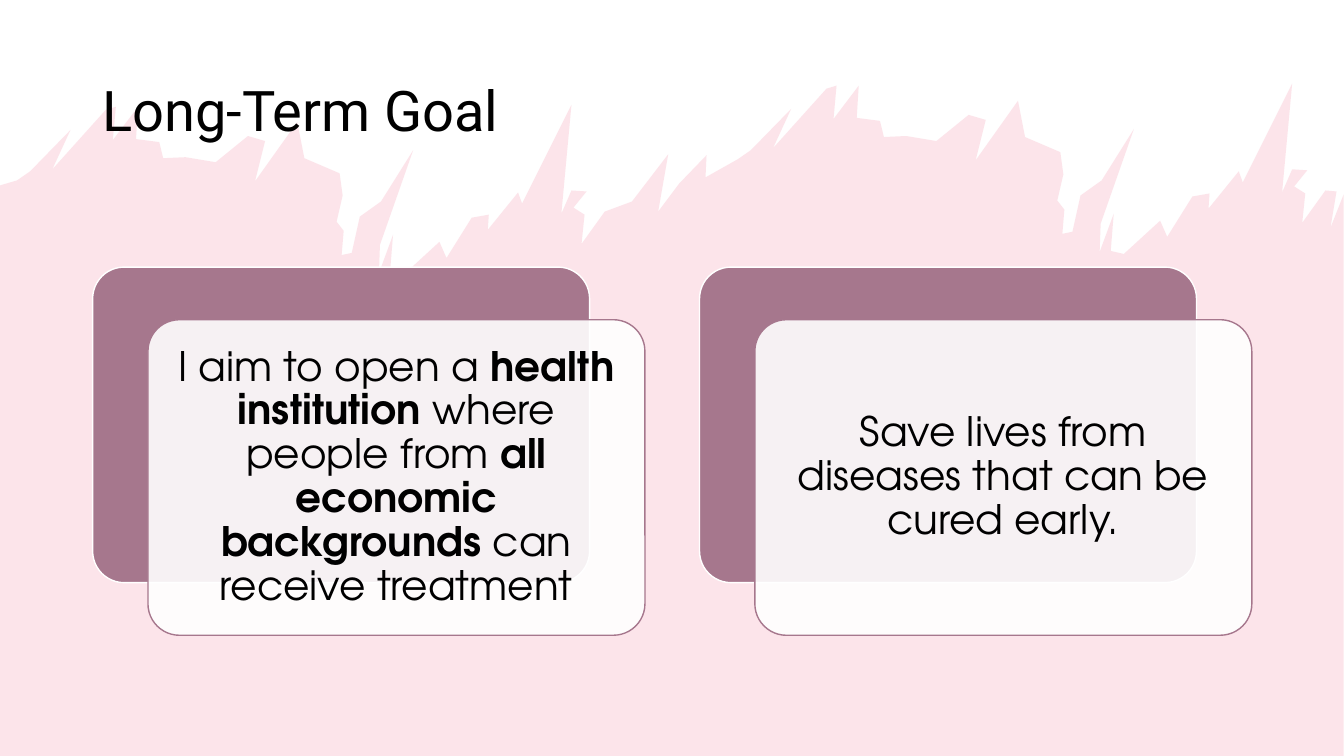
from pptx import Presentation
from pptx.dml.color import RGBColor
from pptx.enum.shapes import MSO_SHAPE as Shape
from pptx.enum.text import MSO_ANCHOR as Anchor, PP_ALIGN as Align
from pptx.oxml.ns import qn
from pptx.util import Pt
from lxml.etree import SubElement

PINK, MAUVE, WHITE, BLACK = "F07C98", "A6778D", "FFFFFF", "000000"


def color(hex_string):
    return RGBColor.from_string(hex_string)


def paint(shape, fill, opacity=100, line=None):
    """Set fill, opacity in percent and outline, without a shadow."""
    shape.shadow.inherit = False
    shape.fill.solid()
    shape.fill.fore_color.rgb = color(fill)
    if opacity < 100:
        rgb = shape.element.spPr.find(qn("a:solidFill"))[0]
        SubElement(rgb, qn("a:alpha")).set("val", str(opacity * 1000))
    if line:
        shape.line.color.rgb = color(line)
        shape.line.width = Pt(1)
    else:
        shape.line.fill.background()


presentation = Presentation()
presentation.slide_width = Pt(960)
presentation.slide_height = Pt(540)
slide = presentation.slides.add_slide(presentation.slide_layouts[5])
slide.background.fill.solid()
slide.background.fill.fore_color.rgb = color(WHITE)

# Title
title = slide.shapes.title
title.left, title.top, title.width, title.height = Pt(66), Pt(28.8), Pt(828), Pt(104.4)
title.text_frame.text = "Long-Term Goal"
title.text_frame.vertical_anchor = Anchor.MIDDLE
paragraph = title.text_frame.paragraphs[0]
paragraph.alignment = Align.LEFT
paragraph.line_spacing = 0.9
font = paragraph.runs[0].font
font.name, font.size, font.color.rgb = "Roboto", Pt(40), color(BLACK)

# Pink wash: one ragged edge used twice, in units of 0.72 pt
UNIT = Pt(0.72)
SHIFT_X, SHIFT_Y = 715, -21
ragged_edge = [
    (17, 179), (30, 170), (70, 129), (52, 168), (105, 109), (115, 106), (112, 139),
    (137, 106), (135, 138), (158, 141), (162, 157), (184, 156), (214, 161), (246, 135),
    (263, 140), (253, 180), (295, 121), (302, 157), (337, 172), (340, 194), (334, 220),
    (341, 229), (339, 253), (349, 251), (357, 215), (378, 200), (410, 149), (377, 243),
    (376, 271), (390, 233), (387, 270), (400, 273), (436, 240), (443, 256), (468, 216),
    (485, 213), (484, 228), (514, 191), (518, 202), (567, 104), (557, 212), (567, 189),
    (582, 190), (569, 206), (580, 213), (577, 242), (600, 210),
]
edge_joint = [(627, 200), (663, 153), (653, 210), (674, 182), (701, 154), (700, 176)]
second_edge = [(x + SHIFT_X, y + SHIFT_Y) for x, y in ragged_edge]
edge_end = [(1326, 190), (1320, 226), (1333.33, 193), (1333.33, 750), (0, 750)]
builder = slide.shapes.build_freeform(0, 184, scale=UNIT)
builder.add_line_segments(ragged_edge + edge_joint + second_edge + edge_end, close=True)
wash = builder.convert_to_shape()
paint(wash, PINK, opacity=20)
title.element.addprevious(wash.element)

# Cards: a mauve panel with a translucent text panel set off from it
CARD_LEFT, CARD_TOP, CARD_PITCH = 66.2, 190.8, 433.5
CARD_WIDTH, CARD_HEIGHT = 355, 225.4
OFFSET_X, OFFSET_Y = 39.5, 37.6
goals = [
    [("I aim to open a ", False), ("health institution", True),
     (" where people from ", False), ("all economic backgrounds", True),
     (" can receive treatment", False)],
    [("Save lives from diseases that can be cured early.", False)],
]
for index, goal in enumerate(goals):
    left = CARD_LEFT + index * CARD_PITCH
    back_panel = slide.shapes.add_shape(
        Shape.ROUNDED_RECTANGLE, Pt(left), Pt(CARD_TOP), Pt(CARD_WIDTH), Pt(CARD_HEIGHT))
    text_panel = slide.shapes.add_shape(
        Shape.ROUNDED_RECTANGLE, Pt(left + OFFSET_X), Pt(CARD_TOP + OFFSET_Y),
        Pt(CARD_WIDTH), Pt(CARD_HEIGHT))
    back_panel.adjustments[0] = text_panel.adjustments[0] = 0.1
    paint(back_panel, MAUVE, line=WHITE)
    paint(text_panel, WHITE, opacity=90, line=MAUVE)

    frame = text_panel.text_frame
    frame.word_wrap = True
    frame.vertical_anchor = Anchor.MIDDLE
    frame.margin_left = frame.margin_right = Pt(8.7)
    frame.margin_top = frame.margin_bottom = Pt(8.7)
    paragraph = frame.paragraphs[0]
    paragraph.alignment = Align.CENTER
    paragraph.line_spacing = 0.9
    for text, bold in goal:
        run = paragraph.add_run()
        run.text = text
        run.font.name, run.font.size = "TeX Gyre Adventor", Pt(29)
        run.font.bold = bold
        run.font.color.rgb = color(BLACK)

presentation.save("out.pptx")
